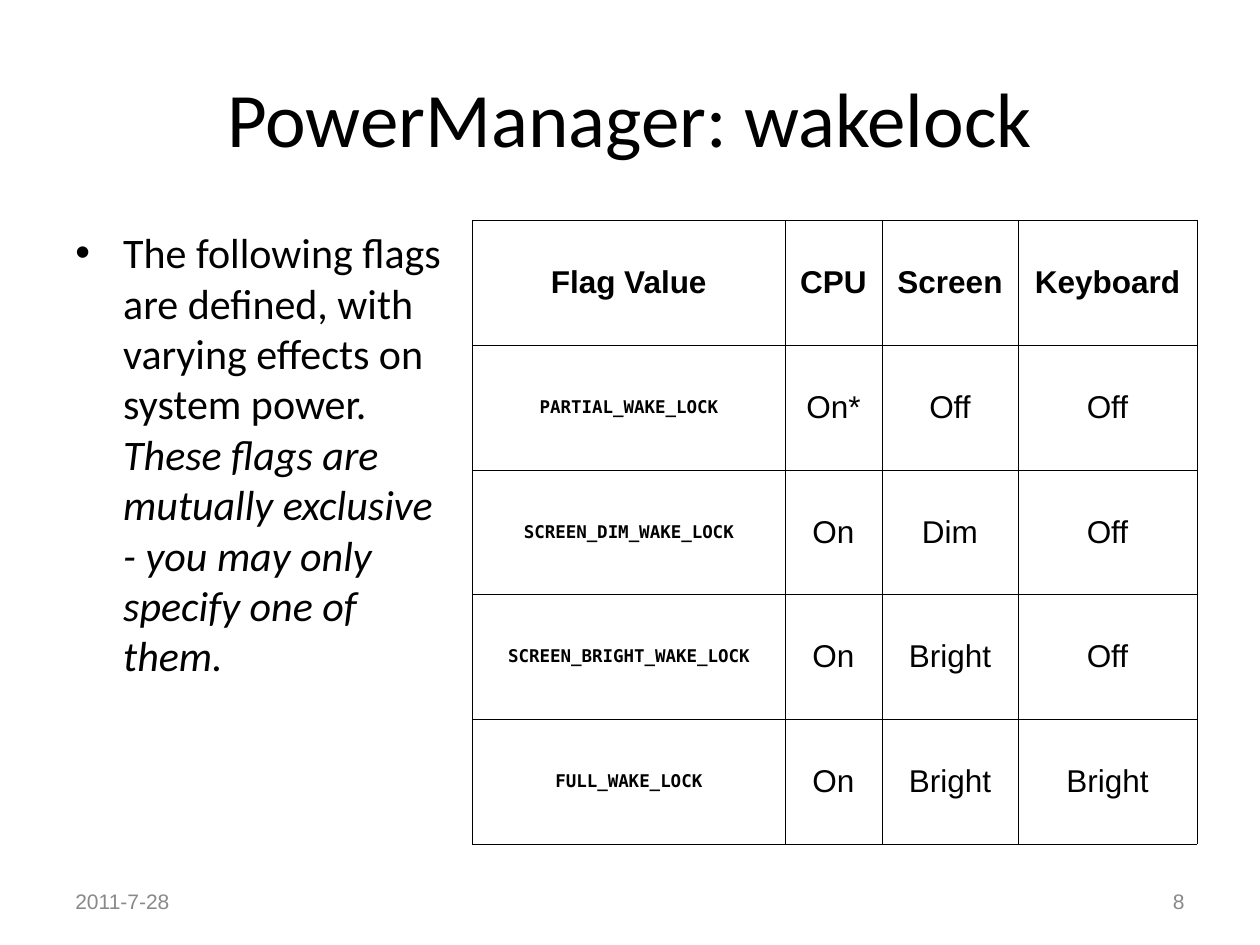
from lxml import etree
from pptx import Presentation
from pptx import util as u
from pptx.dml.color import RGBColor
from pptx.enum import text
from pptx.oxml import ns

COLORS = {"ink": "000000", "footer": "898989"}
BODY, PLAIN, MONO = "Calibri", "Arial", "DejaVu Sans Mono"
LEFT, CENTER, RIGHT = text.PP_ALIGN.LEFT, text.PP_ALIGN.CENTER, text.PP_ALIGN.RIGHT
TOP, MIDDLE = text.MSO_ANCHOR.TOP, text.MSO_ANCHOR.MIDDLE


class Deck:
    def __init__(self, prs):
        self.s = prs.slides.add_slide(prs.slide_layouts[6])

    def run(self, p, words, size, font, color="ink", bold=False, italic=False):
        r = p.add_run()
        r.text = words
        r.font.size = u.Pt(size)
        r.font.name = font
        r.font.bold = bold
        r.font.italic = italic
        r.font.color.rgb = RGBColor.from_string(COLORS[color])

    def text_box(self, box, align=LEFT, anchor=MIDDLE):
        tf = self.s.shapes.add_textbox(*map(u.Inches, box)).text_frame
        tf.word_wrap = True
        tf.vertical_anchor = anchor
        p = tf.paragraphs[0]
        p.alignment = align
        return p

    def bullet(self, p, indent):
        p.space_before = u.Pt(6)
        pPr = p._p.get_or_add_pPr()
        pPr.set("marL", str(u.Inches(indent)))
        pPr.set("indent", str(-u.Inches(indent)))
        etree.SubElement(pPr, ns.qn("a:buFont"), typeface=PLAIN)
        etree.SubElement(pPr, ns.qn("a:buChar"), char="•")

    def borders(self, cell, width):
        tcPr = cell._tc.get_or_add_tcPr()
        for i, side in enumerate(("lnL", "lnR", "lnT", "lnB")):
            ln = etree.Element(ns.qn(f"a:{side}"), w=str(u.Pt(width)))
            fill = etree.SubElement(ln, ns.qn("a:solidFill"))
            etree.SubElement(fill, ns.qn("a:srgbClr"), val=COLORS["ink"])
            tcPr.insert(i, ln)

    def table(self, left, top, widths, row_height, rows):
        box = (left, top, sum(widths), row_height * len(rows))
        frame = self.s.shapes.add_table(len(rows), len(widths), *map(u.Inches, box))
        table = frame.table
        table.first_row = table.horz_banding = False
        for column, width in zip(table.columns, widths):
            column.width = u.Inches(width)
        for i, row in enumerate(rows):
            table.rows[i].height = u.Inches(row_height)
            for j, words in enumerate(row):
                cell = table.cell(i, j)
                cell.fill.background()
                self.borders(cell, 0.45)
                cell.vertical_anchor = MIDDLE
                p = cell.text_frame.paragraphs[0]
                p.alignment = CENTER
                is_flag = i > 0 and j == 0
                size, font = (10, MONO) if is_flag else (18, PLAIN)
                self.run(p, words, size, font, bold=i == 0 or is_flag)


def main():
    prs = Presentation()
    prs.slide_width, prs.slide_height = u.Inches(10), u.Inches(7.5)
    deck = Deck(prs)

    title = deck.text_box((0.5, 0.3, 9, 1.25), CENTER)
    deck.run(title, "PowerManager: wakelock", 44, BODY)

    body = deck.text_box((0.5, 1.75, 3.17, 4.95), anchor=TOP)
    deck.bullet(body, 0.38)
    deck.run(body, "The following flags are defined, with varying effects on system power. ", 24, BODY)
    deck.run(body, "These flags are mutually exclusive - you may only specify one of them.",
             24, BODY, italic=True)

    deck.table(3.75, 1.75, (2.48, 0.77, 1.08, 1.42), 0.99, [
        ("Flag Value", "CPU", "Screen", "Keyboard"),
        ("PARTIAL_WAKE_LOCK", "On*", "Off", "Off"),
        ("SCREEN_DIM_WAKE_LOCK", "On", "Dim", "Off"),
        ("SCREEN_BRIGHT_WAKE_LOCK", "On", "Bright", "Off"),
        ("FULL_WAKE_LOCK", "On", "Bright", "Bright"),
    ])

    for left, align, words in ((7.17, RIGHT, "8"), (0.5, LEFT, "2011-7-28")):
        footer = deck.text_box((left, 6.95, 2.33, 0.4), align)
        deck.run(footer, words, 12, PLAIN, "footer")

    prs.save("out.pptx")


if __name__ == "__main__":
    main()
